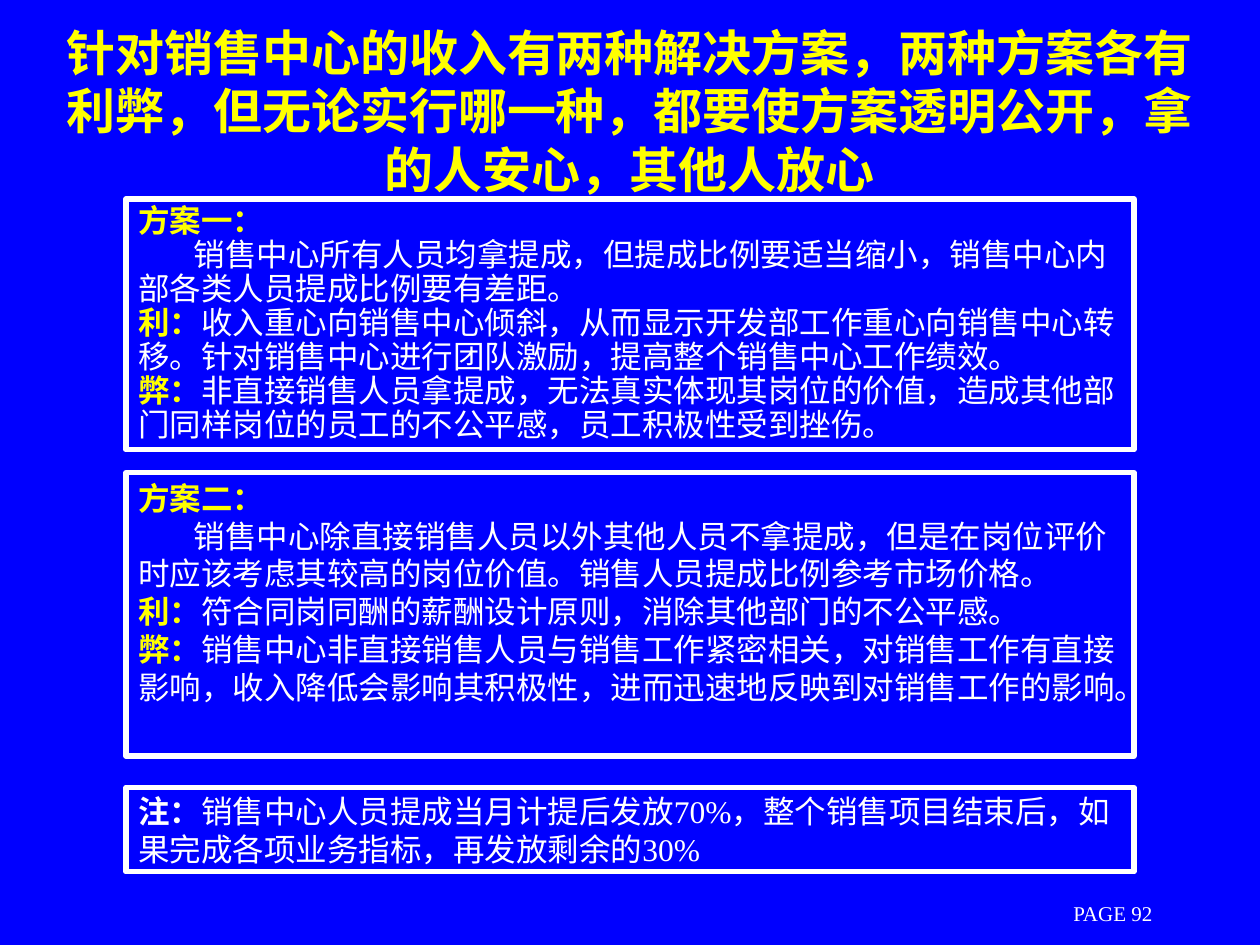
from dataclasses import dataclass

from lxml import etree
from pptx import Presentation
from pptx.dml.color import RGBColor
from pptx.enum import shapes, text
from pptx.oxml import ns
from pptx.util import Inches, Pt


@dataclass(frozen=True)
class Theme:
    blue: RGBColor = RGBColor(0x00, 0x00, 0xFF)
    yellow: RGBColor = RGBColor(0xFF, 0xFF, 0x00)
    white: RGBColor = RGBColor(0xFF, 0xFF, 0xFF)
    latin: str = "Times New Roman"
    chinese: str = "Noto Sans CJK SC"
    title_size: int = 28
    body_size: int = 18
    footer_size: int = 12
    line_height: float = 1.2
    border: float = 3


THEME = Theme()


@dataclass(frozen=True)
class Entry:
    """One paragraph: an optional bold label followed by plain text."""
    label: str = ""
    body: str = ""
    indent: float = 0


@dataclass(frozen=True)
class Panel:
    top: float
    height: float
    entries: tuple[Entry, ...]
    label_color: RGBColor = THEME.yellow
    spacing: float = 1
    anchor: text.MSO_ANCHOR = text.MSO_ANCHOR.TOP


PANELS = (
    Panel(1.58, 1.99, (
        Entry("方案一："),
        Entry(body="销售中心所有人员均拿提成，但提成比例要适当缩小，销售中心内部各类人员提成比例要有差距。", indent=0.44),
        Entry("利：", "收入重心向销售中心倾斜，从而显示开发部工作重心向销售中心转移。"
                    "针对销售中心进行团队激励，提高整个销售中心工作绩效。"),
        Entry("弊：", "非直接销售人员拿提成，无法真实体现其岗位的价值，"
                    "造成其他部门同样岗位的员工的不公平感，员工积极性受到挫伤。"),
    ), spacing=0.9),
    Panel(3.75, 2.25, (
        Entry("方案二："),
        Entry(body="销售中心除直接销售人员以外其他人员不拿提成，但是在岗位评价时应该考虑其较高的岗位价值。"
                   "销售人员提成比例参考市场价格。", indent=0.44),
        Entry("利：", "符合同岗同酬的薪酬设计原则，消除其他部门的不公平感。"),
        Entry("弊：", "销售中心非直接销售人员与销售工作紧密相关，对销售工作有直接影响，"
                    "收入降低会影响其积极性，进而迅速地反映到对销售工作的影响。"),
    )),
    Panel(6.25, 0.67, (
        Entry("注：", "销售中心人员提成当月计提后发放70%，整个销售项目结束后，"
                    "如果完成各项业务指标，再发放剩余的30%"),
    ), label_color=THEME.white, anchor=text.MSO_ANCHOR.MIDDLE),
)


def add_span(para, words: str, size: float, color: RGBColor,
             bold: bool = False, latin: str = THEME.latin) -> None:
    span = para.add_run()
    span.text = words
    span.font.size = Pt(size)
    span.font.bold = bold
    span.font.color.rgb = color
    span.font.name = latin
    east_asian = etree.SubElement(span.font._element, ns.qn("a:ea"))
    east_asian.set("typeface", THEME.chinese)


def set_line_height(para, size: float, spacing: float = 1) -> None:
    para.line_spacing = Pt(size * THEME.line_height * spacing)


def add_text_box(page, left: float, top: float, width: float, height: float, wrap: bool):
    box = page.shapes.add_textbox(Inches(left), Inches(top), Inches(width), Inches(height))
    box.text_frame.word_wrap = wrap
    box.text_frame.vertical_anchor = text.MSO_ANCHOR.MIDDLE
    return box.text_frame.paragraphs[0]


def add_panel(page, panel: Panel) -> None:
    box = page.shapes.add_shape(shapes.MSO_SHAPE.RECTANGLE, Inches(1), Inches(panel.top),
                                Inches(8), Inches(panel.height))
    box.shadow.inherit = False
    box.fill.background()
    box.line.color.rgb = THEME.white
    box.line.width = Pt(THEME.border)
    frame = box.text_frame
    frame.word_wrap = True
    frame.vertical_anchor = panel.anchor
    for index, entry in enumerate(panel.entries):
        para = frame.add_paragraph() if index else frame.paragraphs[0]
        para.alignment = text.PP_ALIGN.LEFT
        set_line_height(para, THEME.body_size, panel.spacing)
        if entry.indent:
            para._p.get_or_add_pPr().set("indent", str(Inches(entry.indent)))
        if entry.label:
            add_span(para, entry.label, THEME.body_size, panel.label_color, bold=True)
        if entry.body:
            add_span(para, entry.body, THEME.body_size, THEME.white)


def main() -> None:
    deck = Presentation()
    deck.slide_width, deck.slide_height = Inches(10), Inches(7.5)
    page = deck.slides.add_slide(deck.slide_layouts[6])
    page.background.fill.solid()
    page.background.fill.fore_color.rgb = THEME.blue

    # Title
    title = add_text_box(page, 0.37, 0.25, 9.25, 1.25, wrap=True)
    title.alignment = text.PP_ALIGN.CENTER
    set_line_height(title, THEME.title_size)
    add_span(title, "针对销售中心的收入有两种解决方案，两种方案各有利弊，"
                    "但无论实行哪一种，都要使方案透明公开，拿的人安心，其他人放心",
             THEME.title_size, THEME.yellow, bold=True, latin=THEME.chinese)

    # Two plans and a note
    for panel in PANELS:
        add_panel(page, panel)

    # Page number
    footer = add_text_box(page, 8.42, 7.12, 1.67, 0.25, wrap=False)
    add_span(footer, "PAGE 92", THEME.footer_size, THEME.white)

    deck.save("out.pptx")


if __name__ == "__main__":
    main()
